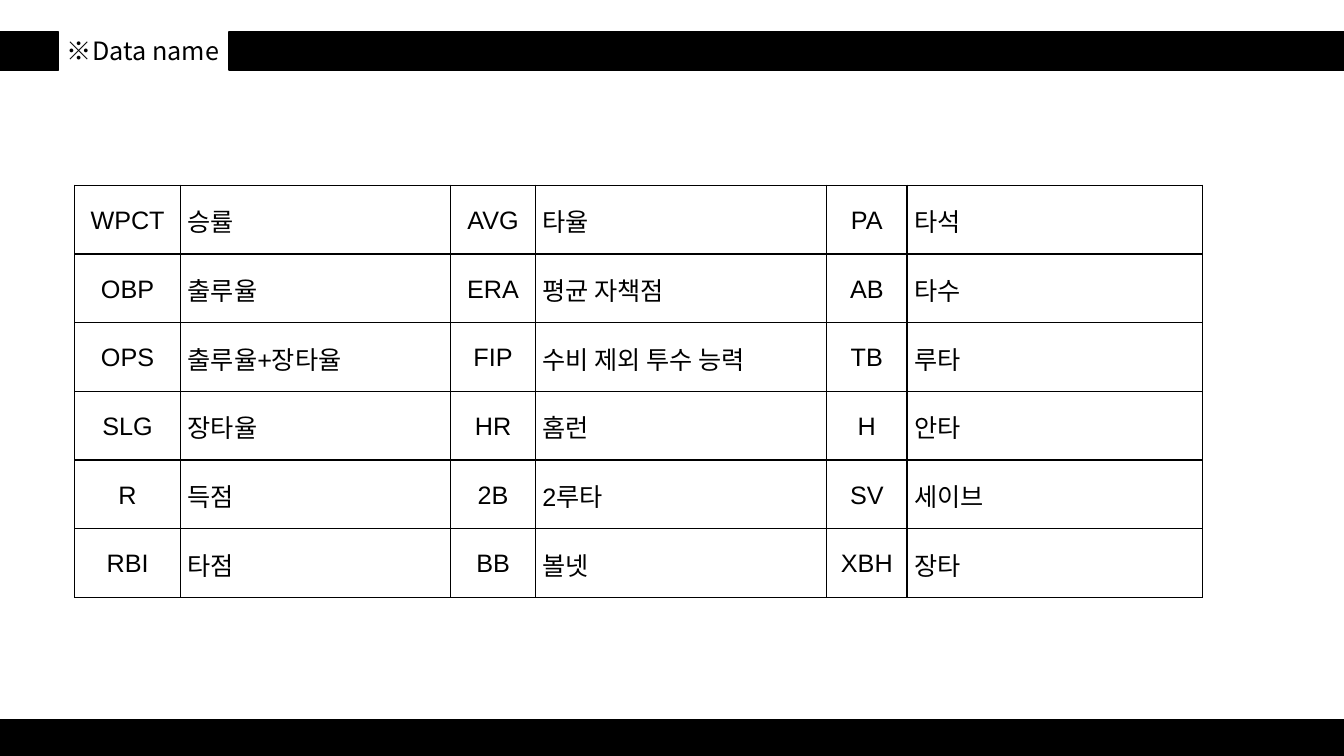
from lxml.etree import SubElement
from pptx import Presentation
from pptx.dml.color import RGBColor
from pptx.enum.shapes import MSO_SHAPE as Shape
from pptx.enum.text import MSO_ANCHOR as Anchor, MSO_AUTO_SIZE as AutoSize, PP_ALIGN as Align
from pptx.oxml import parse_xml
from pptx.oxml.ns import nsdecls, qn
from pptx.util import Cm, Pt

BLACK = RGBColor(0, 0, 0)
WHITE = RGBColor(255, 255, 255)
LATIN_FONT = "Arial"
KOREAN_FONT = "Noto Sans CJK KR"

COLUMN_WIDTHS = [2.67, 6.81, 2.13, 7.34, 2.03, 7.44]
ROW_HEIGHT = 1.73
STATISTICS = [
    ["WPCT", "승률", "AVG", "타율", "PA", "타석"],
    ["OBP", "출루율", "ERA", "평균 자책점", "AB", "타수"],
    ["OPS", "출루율+장타율", "FIP", "수비 제외 투수 능력", "TB", "루타"],
    ["SLG", "장타율", "HR", "홈런", "H", "안타"],
    ["R", "득점", "2B", "2루타", "SV", "세이브"],
    ["RBI", "타점", "BB", "볼넷", "XBH", "장타"],
]


def add_bar(shapes, left, top, width):
    bar = shapes.add_shape(Shape.RECTANGLE, Cm(left), Cm(top), Cm(width), Cm(0.96))
    bar.shadow.inherit = False
    bar.fill.solid()
    bar.fill.fore_color.rgb = BLACK
    bar.line.color.rgb = BLACK
    bar.line.width = Pt(1)


def style_text(para, latin_font):
    """Set the Latin font, and the Korean font for East Asian characters."""
    para.font.size = Pt(18)
    para.font.color.rgb = BLACK
    para.font.name = latin_font
    properties = para.font._element
    SubElement(properties, qn("a:ea")).set("typeface", KOREAN_FONT)


def add_label(shapes, text, left, width, wrap):
    box = shapes.add_textbox(Cm(left), Cm(0.76), Cm(width), Cm(1.02))
    frame = box.text_frame
    frame.word_wrap = wrap
    frame.auto_size = AutoSize.SHAPE_TO_FIT_TEXT
    frame.text = text
    style_text(frame.paragraphs[0], KOREAN_FONT)


def add_borders(cell):
    properties = cell._tc.get_or_add_tcPr()
    for index, side in enumerate(["lnL", "lnR", "lnT", "lnB"]):
        border = parse_xml(
            f'<a:{side} {nsdecls("a")} w="{Pt(1)}"><a:solidFill>'
            f'<a:srgbClr val="{BLACK}"/></a:solidFill></a:{side}>'
        )
        properties.insert(index, border)


def fill_cell(cell, text, align):
    cell.fill.solid()
    cell.fill.fore_color.rgb = WHITE
    cell.vertical_anchor = Anchor.MIDDLE
    cell.margin_left = cell.margin_right = Cm(0.18)
    cell.margin_top = cell.margin_bottom = 0
    cell.text = text
    para = cell.text_frame.paragraphs[0]
    para.alignment = align
    para.line_spacing = 1.07
    style_text(para, LATIN_FONT)
    add_borders(cell)


def add_statistics_table(shapes):
    rows, columns = len(STATISTICS), len(COLUMN_WIDTHS)
    table = shapes.add_table(
        rows, columns, Cm(1.88), Cm(4.67), Cm(sum(COLUMN_WIDTHS)), Cm(rows * ROW_HEIGHT)
    ).table
    table.first_row = table.horz_banding = False
    for column, width in zip(table.columns, COLUMN_WIDTHS):
        column.width = Cm(width)
    for row, texts in zip(table.rows, STATISTICS):
        row.height = Cm(ROW_HEIGHT)
        for index, (cell, text) in enumerate(zip(row.cells, texts)):
            fill_cell(cell, text, Align.LEFT if index % 2 else Align.CENTER)


def main():
    deck = Presentation()
    deck.slide_width, deck.slide_height = Cm(33.87), Cm(19.05)
    page = deck.slides.add_slide(deck.slide_layouts[6])

    add_bar(page.shapes, 0, 18.14, 33.87)
    add_bar(page.shapes, 0, 0.81, 1.47)
    add_bar(page.shapes, 5.77, 0.81, 28.1)

    title = page.shapes.add_group_shape()
    add_label(title.shapes, "※", 1.42, 0.91, True)
    add_label(title.shapes, "Data name", 2.08, 3.71, False)

    add_statistics_table(page.shapes)
    deck.save("out.pptx")


if __name__ == "__main__":
    main()
